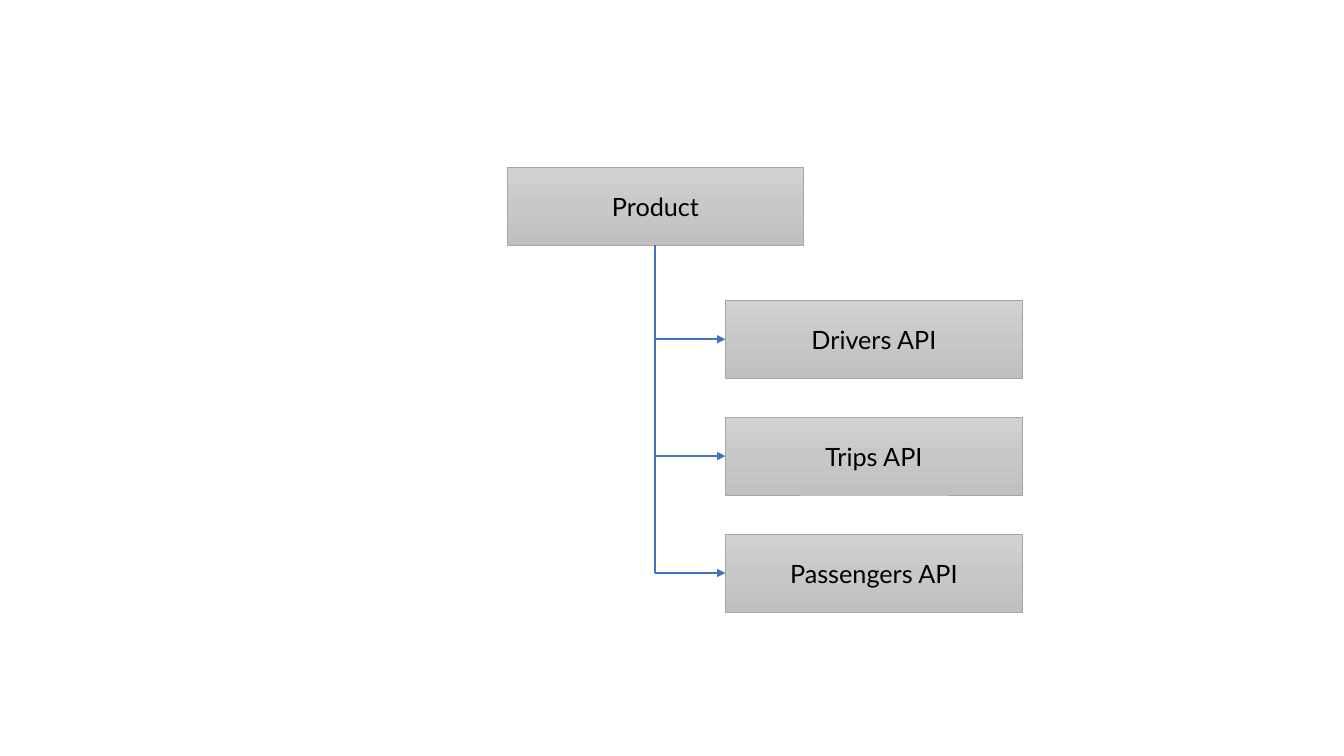
"""Build a slide with a product linked to the three APIs below it."""
import copy

import pptx
import pptx.dml.color
import pptx.enum.shapes
import pptx.enum.text
import pptx.oxml
import pptx.oxml.ns
import pptx.util

Pt = pptx.util.Pt
RGBColor = pptx.dml.color.RGBColor
BLACK = RGBColor(0x00, 0x00, 0x00)
BORDER_GREY = RGBColor(0xA5, 0xA5, 0xA5)
ARROW_BLUE = RGBColor(0x44, 0x72, 0xC4)
GRADIENT = [
    (0, RGBColor(0xD2, 0xD2, 0xD2)),
    (0.5, RGBColor(0xC8, 0xC8, 0xC8)),
    (1, RGBColor(0xC0, 0xC0, 0xC0)),
]
FONT_FORMAT = {"name": "Lato", "size": Pt(18)}

BOX_WIDTH, BOX_HEIGHT = 212, 55.6
PRODUCT_LEFT, PRODUCT_TOP = 362.2, 119.5
API_LEFT, FIRST_API_TOP, API_PITCH = 518.2, 214.5, 83.5
APIS = ["Drivers API", "Trips API", "Passengers API"]

deck = pptx.Presentation()
deck.slide_width, deck.slide_height = Pt(960), Pt(540)
slide = deck.slides.add_slide(deck.slide_layouts[6])


def add_box(label, left, top):
    box = slide.shapes.add_shape(
        pptx.enum.shapes.MSO_SHAPE.RECTANGLE,
        Pt(left), Pt(top), Pt(BOX_WIDTH), Pt(BOX_HEIGHT))
    box.shadow.inherit = False
    box.fill.gradient()
    box.fill.gradient_angle = 270
    first_stop = box.element.xpath(".//a:gs")[0]
    first_stop.addnext(copy.deepcopy(first_stop))
    for stop, (position, color) in zip(box.fill.gradient_stops, GRADIENT):
        stop.position = position
        stop.color.rgb = color
    box.line.color.rgb = BORDER_GREY
    box.line.width = Pt(0.5)
    box.text_frame.vertical_anchor = pptx.enum.text.MSO_ANCHOR.MIDDLE
    paragraph = box.text_frame.paragraphs[0]
    paragraph.alignment = pptx.enum.text.PP_ALIGN.CENTER
    run = paragraph.add_run()
    run.text = label
    for attribute, value in FONT_FORMAT.items():
        setattr(run.font, attribute, value)
    run.font.color.rgb = BLACK
    return box


def add_arrow(source, target):
    arrow = slide.shapes.add_connector(
        pptx.enum.shapes.MSO_CONNECTOR.ELBOW, 0, 0, 0, 0)
    arrow.begin_connect(source, 2)
    arrow.end_connect(target, 1)
    run, drop = arrow.width, arrow.height
    shift = (drop - run) // 2
    placement = {"left": arrow.left - shift, "top": arrow.top + shift,
                 "width": drop, "height": run}
    for attribute, value in placement.items():
        setattr(arrow, attribute, value)
    frame = arrow.element.xpath(".//a:xfrm")[0]
    frame.set("rot", "16200000")
    frame.set("flipH", "1")
    arrow.element.xpath(".//a:prstGeom")[0].set("prst", "bentConnector2")
    arrow.line.color.rgb = ARROW_BLUE
    arrow.line.width = Pt(1.5)
    outline = arrow.element.xpath(".//a:ln")[0]
    namespace = pptx.oxml.ns.nsdecls("a")
    outline.append(pptx.oxml.parse_xml(f'<a:tailEnd {namespace} type="triangle"/>'))
    outline.addnext(pptx.oxml.parse_xml(f"<a:effectLst {namespace}/>"))


product = add_box("Product", PRODUCT_LEFT, PRODUCT_TOP)
api_boxes = [add_box(api, API_LEFT, FIRST_API_TOP + row * API_PITCH)
             for row, api in enumerate(APIS)]
for api_box in api_boxes:
    add_arrow(product, api_box)

deck.save("out.pptx")
